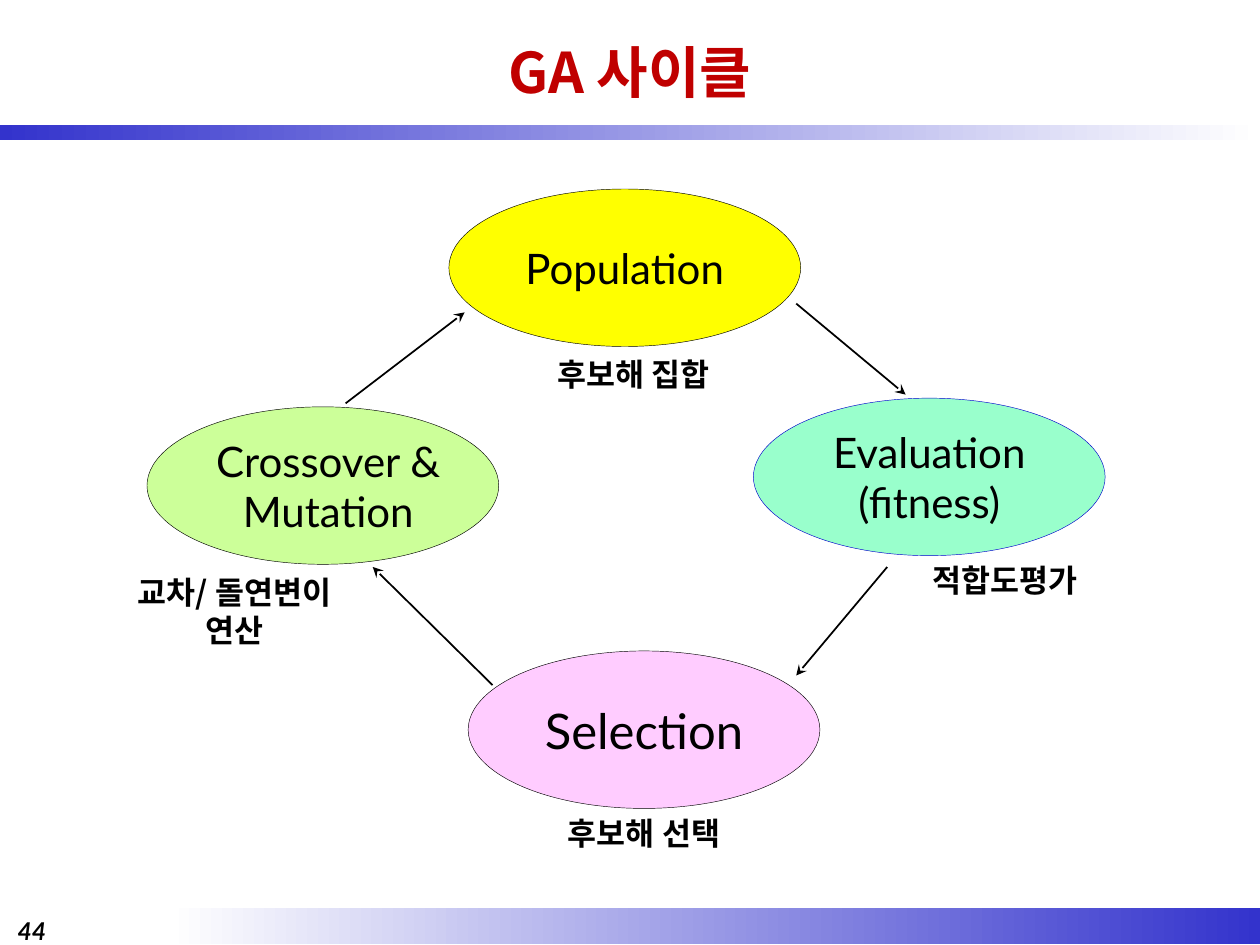
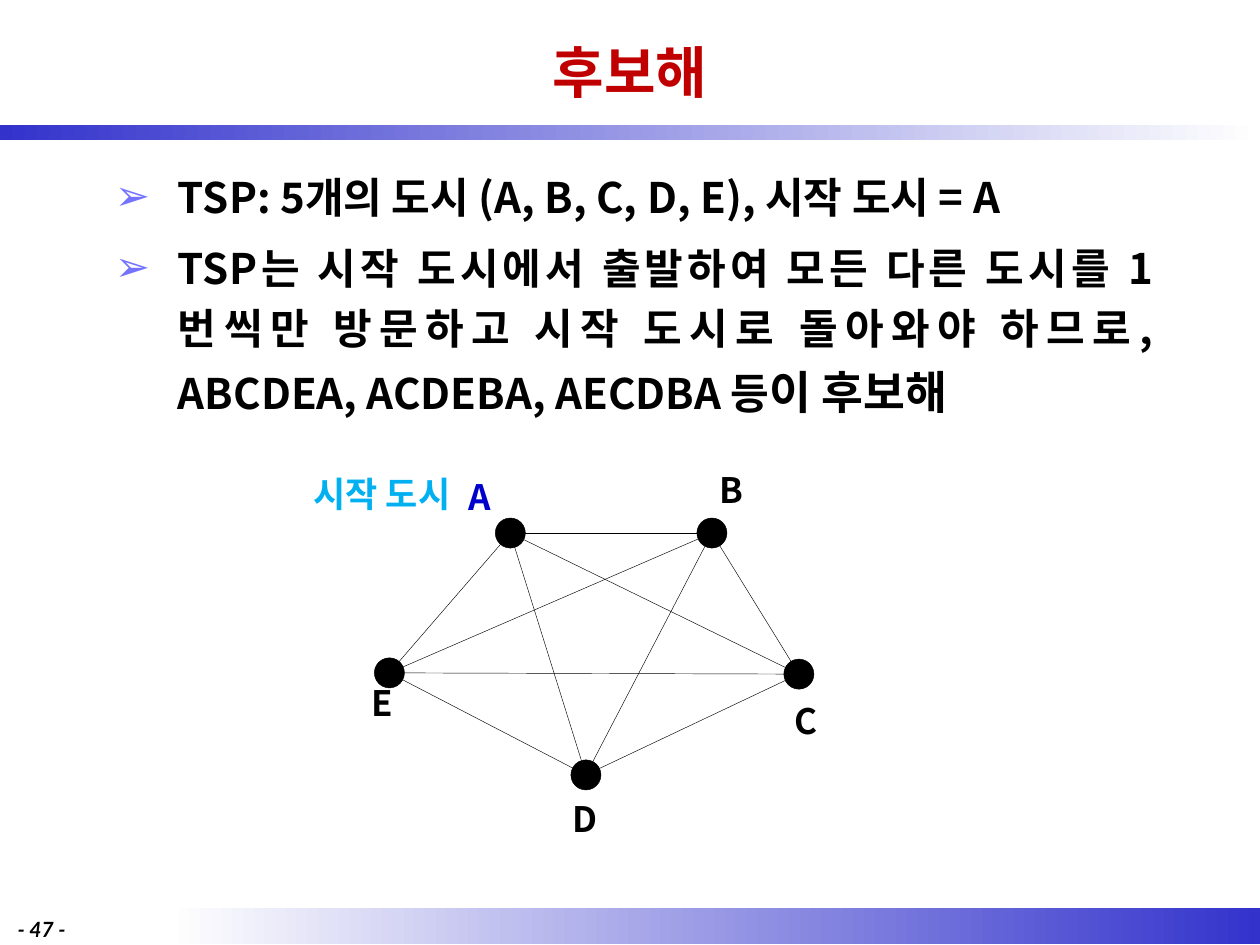
"""Build two slides on genetic algorithms: the GA cycle and the candidate solutions of a TSP."""
from itertools import combinations
from math import hypot

from lxml import etree
from pptx import Presentation
from pptx.dml.color import RGBColor
from pptx.enum.shapes import MSO_CONNECTOR, MSO_SHAPE
from pptx.enum.text import MSO_ANCHOR, MSO_AUTO_SIZE, PP_ALIGN
from pptx.oxml.ns import qn
from pptx.util import Pt

LEFT, CENTER, JUSTIFY = PP_ALIGN.LEFT, PP_ALIGN.CENTER, PP_ALIGN.JUSTIFY
MIDDLE = MSO_ANCHOR.MIDDLE
FIXED, GROW = MSO_AUTO_SIZE.NONE, MSO_AUTO_SIZE.SHAPE_TO_FIT_TEXT
RECTANGLE, OVAL = MSO_SHAPE.RECTANGLE, MSO_SHAPE.OVAL
STRAIGHT = MSO_CONNECTOR.STRAIGHT

KOREAN, LATIN = "Noto Sans CJK KR", "Lato"
BLACK = RGBColor(0x00, 0x00, 0x00)
WHITE = RGBColor(0xFF, 0xFF, 0xFF)
INDIGO = RGBColor(0x33, 0x33, 0xCC)
RED = RGBColor(0xC0, 0x00, 0x00)
BLUE = RGBColor(0x00, 0x00, 0xCC)
SKY = RGBColor(0x00, 0xB0, 0xF0)
YELLOW = RGBColor(0xFF, 0xFF, 0x00)
PINK = RGBColor(0xFF, 0xCC, 0xFF)
MINT = RGBColor(0x99, 0xFF, 0xCC)
LIME = RGBColor(0xCC, 0xFF, 0x99)


def write(paragraph, text, size, align=CENTER, color=BLACK, font=KOREAN, bold=True, italic=False):
    paragraph.alignment = align
    run = paragraph.add_run()
    run.text = text
    run.font.size = Pt(size)
    run.font.bold = bold
    run.font.italic = italic
    run.font.color.rgb = color
    run.font.name = font
    east_asian = etree.SubElement(run.font._element, qn("a:ea"))
    east_asian.set("typeface", font)


def draw_line(slide, start, end, width):
    line = slide.shapes.add_connector(STRAIGHT, *map(Pt, start + end))
    line.line.color.rgb = BLACK
    line.line.width = Pt(width)
    properties = line._element.spPr
    etree.SubElement(properties, qn("a:effectLst"))
    return properties.find(qn("a:ln"))


deck = Presentation()
deck.slide_width, deck.slide_height = Pt(720), Pt(540)
cycle = deck.slides.add_slide(deck.slide_layouts[5])
candidates = deck.slides.add_slide(deck.slide_layouts[1])

bands = [(96, 519, 624, 20.5, WHITE, INDIGO), (0, 71.5, 720, 8.5, INDIGO, WHITE)]
for slide, heading in [(cycle, "GA 사이클"), (candidates, "후보해")]:
    for left, top, width, height, first, last in bands:
        band = slide.shapes.add_shape(RECTANGLE, Pt(left), Pt(top), Pt(width), Pt(height))
        band.shadow.inherit = False
        band.line.fill.background()
        band.fill.gradient()
        band.fill.gradient_angle = 0
        for stop, color in zip(band.fill.gradient_stops, (first, last)):
            stop.color.rgb = color
    title = slide.shapes.title
    title.left, title.top, title.width, title.height = Pt(54), Pt(3.6), Pt(612), Pt(74)
    title.text_frame.auto_size = FIXED
    title.text_frame.vertical_anchor = MIDDLE
    write(title.text_frame.paragraphs[0], heading, 32, color=RED)

body = candidates.placeholders[1]
body.left, body.top, body.width, body.height = Pt(54), Pt(88.5), Pt(612), Pt(430.5)
body.text_frame.auto_size = FIXED
points = [
    [("TSP: 5개의 도시 (A, B, C, D, E), 시작 도시 = A", 24)],
    [("TSP는 시작 도시에서 출발하여 모든 다른 도시를 1번씩만 방문하고 시작 도시로 "
      "돌아와야 하므로, ABCDEA, ACDEBA, AECDBA 등", 24), ("이 후보해", 26)],
]
for index, runs in enumerate(points):
    point = body.text_frame.add_paragraph() if index else body.text_frame.paragraphs[0]
    point.line_spacing = 1.2
    point.space_before, point.space_after = Pt(0), Pt(6)
    for text, size in runs:
        write(point, text, size, JUSTIFY)
    layout = point._p.get_or_add_pPr()
    layout.set("marL", str(Pt(40.5)))
    layout.set("indent", str(Pt(-36)))
    bullet_color = etree.SubElement(layout, qn("a:buClr"))
    etree.SubElement(bullet_color, qn("a:srgbClr")).set("val", "7373FF")
    etree.SubElement(layout, qn("a:buChar")).set("char", "➢")

RADIUS = 8.6
cities = {"A": (291.6, 304.6), "B": (406.8, 304.6), "C": (456.5, 385.2),
          "D": (334.8, 442.8), "E": (222.5, 384.5)}
for (x1, y1), (x2, y2) in combinations(cities.values(), 2):
    share = RADIUS / hypot(x2 - x1, y2 - y1)
    dx, dy = (x2 - x1) * share, (y2 - y1) * share
    draw_line(candidates, (x1 + dx, y1 + dy), (x2 - dx, y2 - dy), 0.25)

arrows = [((197.5, 230.5), (265.5, 178.5)), ((281.5, 391.5), (213, 324)),
          ((507, 324), (455, 386)), ((455, 173.5), (517.5, 225.5))]
for start, end in arrows:
    outline = draw_line(cycle, start, end, 1)
    etree.SubElement(outline, qn("a:tailEnd")).set("type", "stealth")

ovals = [
    (cycle, 256.5, 108, 201, 90, YELLOW, BLACK, ["Population"], 24),
    (cycle, 267.5, 372, 201, 90, PINK, BLACK, ["Selection"], 28),
    (cycle, 430.5, 227.5, 201, 90, MINT, BLUE, ["Evaluation", "(fitness)"], 24),
    (cycle, 84, 232.5, 201, 90, LIME, BLACK, [" Crossover &", " Mutation"], 24),
]
ovals += [(candidates, x - RADIUS, y - RADIUS, 2 * RADIUS, 2 * RADIUS, BLACK, BLACK, [], 0)
          for x, y in cities.values()]
for slide, left, top, width, height, fill, edge, words, size in ovals:
    oval = slide.shapes.add_shape(OVAL, Pt(left), Pt(top), Pt(width), Pt(height))
    oval.shadow.inherit = False
    oval.fill.solid()
    oval.fill.fore_color.rgb = fill
    oval.line.color.rgb = edge
    oval.line.width = Pt(0.25)
    frame = oval.text_frame
    frame.word_wrap = False
    frame.vertical_anchor = MIDDLE
    for index, word in enumerate(words):
        paragraph = frame.add_paragraph() if index else frame.paragraphs[0]
        write(paragraph, word, size, font=LATIN, bold=False)

labels = [
    (cycle, 295, 199.5, 134, 29, "후보해 집합", 18, CENTER, BLACK),
    (cycle, 507.5, 317, 134, 29, "적합도평가", 18, CENTER, BLACK),
    (cycle, 301, 461.5, 134, 29, "후보해 선택", 18, CENTER, BLACK),
    (cycle, 67, 324, 134, 51, "교차/ 돌연변이 연산", 18, CENTER, BLACK),
    (candidates, 257, 268, 34.5, 31.5, "A", 20, CENTER, BLUE),
    (candidates, 401, 264, 34.5, 31.5, "B", 20, CENTER, BLACK),
    (candidates, 443.5, 396, 34.5, 31.5, "C", 20, CENTER, BLACK),
    (candidates, 317, 452, 34.5, 31.5, "D", 20, CENTER, BLACK),
    (candidates, 201.5, 386, 34.5, 31.5, "E", 20, CENTER, BLACK),
    (candidates, 172, 266.5, 118, 32.5, "시작 도시", 20, LEFT, SKY),
]
for slide, left, top, width, height, text, size, align, color in labels:
    label = slide.shapes.add_textbox(Pt(left), Pt(top), Pt(width), Pt(height))
    label.text_frame.word_wrap = True
    label.text_frame.auto_size = GROW
    write(label.text_frame.paragraphs[0], text, size, align, color)

for slide, number, size in [(cycle, "44", 14), (candidates, "- 47 -", 12)]:
    page = slide.shapes.add_textbox(Pt(3), Pt(520), Pt(51), Pt(17))
    page.text_frame.word_wrap = True
    write(page.text_frame.paragraphs[0], number, size, LEFT, font=LATIN, italic=True)

deck.save("out.pptx")
